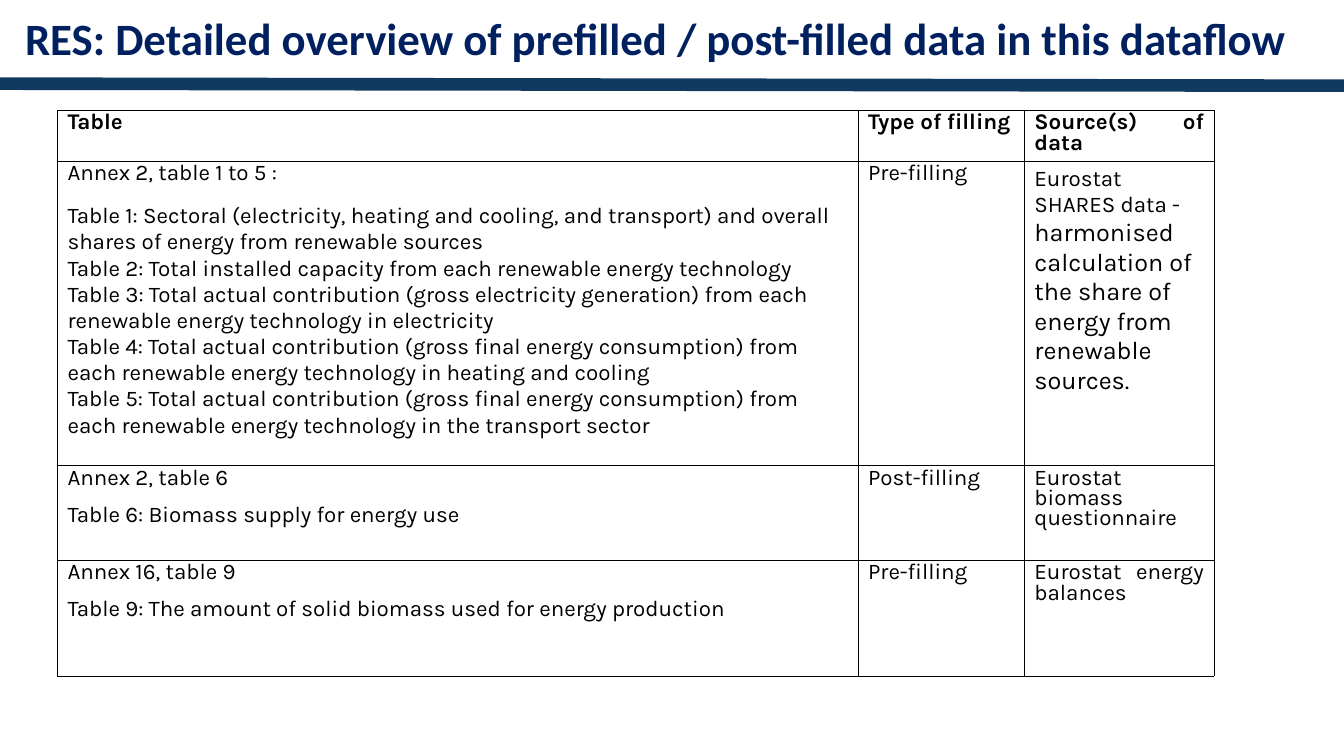
from dataclasses import dataclass

from lxml import etree
from pptx import Presentation
from pptx import util as u
from pptx.dml.color import RGBColor
from pptx.enum import shapes, text
from pptx.oxml.ns import qn


@dataclass(frozen=True)
class Theme:
    title_color: str = "002060"
    rule_color: str = "113A60"
    ink: str = "000000"
    title_font: str = "Calibri"
    body_font: str = "Karla"
    title_size: float = 32
    body_size: float = 16
    large_size: float = 18
    line_spacing: float = 14.6
    space_after: float = 12
    rule_width: float = 9
    border_width: float = 0.5


THEME = Theme()
SLIDE_WIDTH, SLIDE_HEIGHT = 13.33, 7.5
COLUMN_WIDTHS = (7.94, 1.65, 1.88)
ROW_HEIGHTS = (0.5, 3.02, 0.94, 1.15)
SPACED_ROW, LIST_ROW = "spaced", "list"

HEADER = ("Table", "Type of filling", "Source(s) of data")
SECTORAL_TABLES = (
    "Table 1: Sectoral (electricity, heating and cooling, and transport) and overall shares of energy from renewable sources",
    "Table 2: Total installed capacity from each renewable energy technology",
    "Table 3: Total actual contribution (gross electricity generation) from each renewable energy technology in electricity",
    "Table 4: Total actual contribution (gross final energy consumption) from each renewable energy technology in heating and cooling",
    "Table 5: Total actual contribution (gross final energy consumption) from each renewable energy technology in the transport sector",
)


def spaced(*lines):
    return [(SPACED_ROW, [line]) for line in lines]


def listed(*lines):
    return [(LIST_ROW, [line]) for line in lines]


SHARES_SOURCE = [(LIST_ROW, [
    "Eurostat SHARES data - ",
    "harmonised calculation of the share of energy from renewable sources.",
])]

ROWS = (
    tuple(spaced(label) for label in HEADER),
    (spaced("Annex 2, table 1 to 5 :") + listed(*SECTORAL_TABLES),
     spaced("Pre-filling"), SHARES_SOURCE),
    (spaced("Annex 2, table 6", "Table 6: Biomass supply for energy use"),
     spaced("Post-filling"), spaced("Eurostat biomass questionnaire")),
    (spaced("Annex 16, table 9", "Table 9: The amount of solid biomass used for energy production"),
     spaced("Pre-filling"), spaced("Eurostat energy balances")),
)


def style_font(font, name, size, color, bold):
    font.name = name
    font.size = u.Pt(size)
    font.bold = bold
    font.color.rgb = RGBColor.from_string(color)


def add_title(slide, left, top, width, height):
    box = slide.shapes.add_textbox(*map(u.Inches, (left, top, width, height)))
    frame = box.text_frame
    frame.word_wrap = True
    frame.text = "RES: Detailed overview of prefilled / post-filled data in this dataflow"
    style_font(frame.paragraphs[0].runs[0].font, THEME.title_font,
               THEME.title_size, THEME.title_color, True)


def add_rule(slide, left, top, width, height):
    rule = slide.shapes.add_connector(
        shapes.MSO_CONNECTOR.STRAIGHT,
        *map(u.Inches, (left, top, left + width, top + height)))
    rule.line.width = u.Pt(THEME.rule_width)
    rule.line.color.rgb = RGBColor.from_string(THEME.rule_color)
    etree.SubElement(rule._element.spPr, qn("a:effectLst"))


def outline_cell(cell):
    properties = cell._tc.get_or_add_tcPr()
    for side in ("a:lnL", "a:lnR", "a:lnT", "a:lnB"):
        border = etree.SubElement(properties, qn(side), w=str(u.Pt(THEME.border_width)))
        fill = etree.SubElement(border, qn("a:solidFill"))
        etree.SubElement(fill, qn("a:srgbClr"), val=THEME.ink)
    cell.fill.background()


def write_cell(cell, content, bold):
    frame = cell.text_frame
    for index, (kind, pieces) in enumerate(content):
        paragraph = frame.paragraphs[0] if index == 0 else frame.add_paragraph()
        if kind == SPACED_ROW:
            paragraph.alignment = text.PP_ALIGN.JUSTIFY
            paragraph.line_spacing = u.Pt(THEME.line_spacing)
            paragraph.space_after = u.Pt(THEME.space_after)
        for piece, size in zip(pieces, (THEME.body_size, THEME.large_size)):
            run = paragraph.add_run()
            run.text = piece
            style_font(run.font, THEME.body_font, size, THEME.ink, bold)


def add_filling_table(slide, left, top, width, height):
    frame = slide.shapes.add_table(
        len(ROWS), len(COLUMN_WIDTHS), *map(u.Inches, (left, top, width, height)))
    table = frame.table
    table.first_row = False
    table.horz_banding = False
    for column, share in zip(table.columns, COLUMN_WIDTHS):
        column.width = u.Inches(width * share / sum(COLUMN_WIDTHS))
    for row, share in zip(table.rows, ROW_HEIGHTS):
        row.height = u.Inches(height * share / sum(ROW_HEIGHTS))
    for row_index, contents in enumerate(ROWS):
        for column_index, content in enumerate(contents):
            cell = table.cell(row_index, column_index)
            outline_cell(cell)
            write_cell(cell, content, bold=row_index == 0)


def main():
    presentation = Presentation()
    presentation.slide_width = u.Inches(SLIDE_WIDTH)
    presentation.slide_height = u.Inches(SLIDE_HEIGHT)
    slide = presentation.slides.add_slide(presentation.slide_layouts[6])
    add_rule(slide, 0, 0.83, SLIDE_WIDTH, 0.02)
    add_filling_table(slide, 0.57, 1.09, sum(COLUMN_WIDTHS), sum(ROW_HEIGHTS))
    add_title(slide, 0.15, 0.06, 12.82, 0.64)
    presentation.save("out.pptx")


if __name__ == "__main__":
    main()
